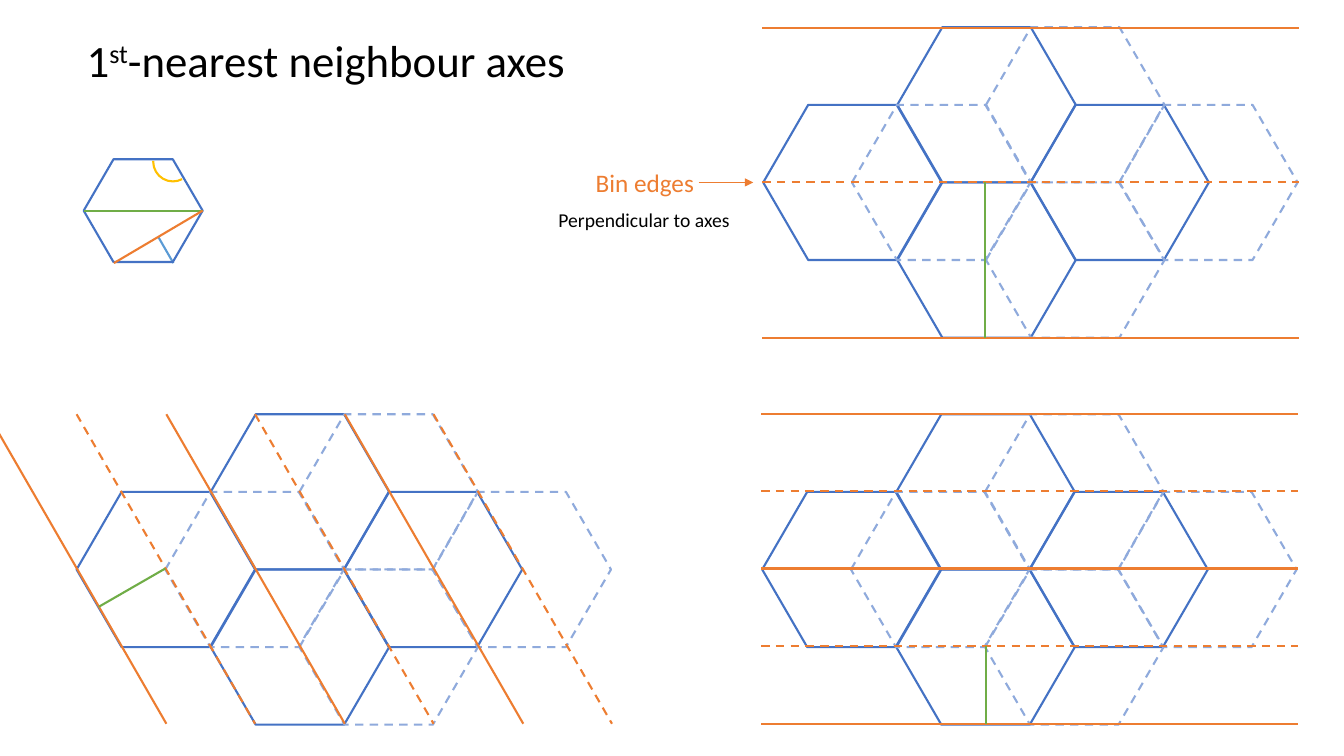
from lxml import etree
from pptx import Presentation
from pptx.dml.color import RGBColor
from pptx.enum.dml import MSO_LINE
from pptx.enum.shapes import MSO_CONNECTOR, MSO_SHAPE
from pptx.enum.text import MSO_ANCHOR, MSO_AUTO_SIZE, PP_ALIGN
from pptx.oxml.ns import qn
from pptx.util import Pt

PX = 9144  # 100 px to the inch
STRAIGHT = MSO_CONNECTOR.STRAIGHT
HEXAGON, ARC = MSO_SHAPE.HEXAGON, MSO_SHAPE.ARC
DASH = MSO_LINE.DASH

BLACK = RGBColor(0x00, 0x00, 0x00)
BLUE = RGBColor(0x44, 0x72, 0xC4)
PALE_BLUE = RGBColor(0x8F, 0xAA, 0xDC)
SKY = RGBColor(0x5B, 0x9B, 0xD5)
GREEN = RGBColor(0x70, 0xAD, 0x47)
ORANGE = RGBColor(0xED, 0x7D, 0x31)
YELLOW = RGBColor(0xFF, 0xC0, 0x00)

HEX_W, HEX_H = 177, 154
HEX_CELLS = [(133, 0), (133, 154), (0, 77), (265, 77)]
DASHED_SHIFT = 88


def add_line(shapes, ends, color, dashed=False, width=1.5):
    c = shapes.add_connector(STRAIGHT, *[v * PX for v in ends])
    c.line.color.rgb = color
    c.line.width = Pt(width)
    if dashed:
        c.line.dash_style = DASH
    etree.SubElement(c._element.spPr, qn("a:effectLst"))
    return c


def add_outline(shapes, kind, box, color, adjustments, dashed=False):
    """Add an unfilled preset shape with a coloured outline."""
    sp = shapes.add_shape(kind, *[v * PX for v in box])
    sp.shadow.inherit = False
    sp.fill.background()
    sp.line.color.rgb = color
    sp.line.width = Pt(1.5)
    if dashed:
        sp.line.dash_style = DASH
    for i, value in enumerate(adjustments):
        sp.adjustments[i] = value


prs = Presentation()
prs.slide_width, prs.slide_height = 1333 * PX, 750 * PX
s = prs.slides.add_slide(prs.slide_layouts[5])

# Title
title = s.shapes.title
title.left, title.top, title.width, title.height = [v * PX for v in (76, 27, 502, 64)]
tf = title.text_frame
tf.word_wrap = False
tf.auto_size = MSO_AUTO_SIZE.SHAPE_TO_FIT_TEXT
tf.vertical_anchor = MSO_ANCHOR.TOP
p = tf.paragraphs[0]
p.alignment = PP_ALIGN.LEFT
for text, baseline in [("1", 0), ("st", 30000), ("-nearest neighbour axes", 0)]:
    r = p.add_run()
    r.text = text
    r.font.name, r.font.size = "Calibri", Pt(32)
    r.font.color.rgb = BLACK
    if baseline:
        r._r.get_or_add_rPr().set("baseline", str(baseline))

# Single cell with its measures
cell = s.shapes.add_group_shape().shapes
add_line(cell, (172, 261, 157, 235), SKY)
add_outline(cell, HEXAGON, (83, 158, 118, 102), BLUE, [0.29])
add_line(cell, (83, 209, 201, 209), GREEN)
add_line(cell, (113, 261, 201, 209), ORANGE)
add_outline(cell, ARC, (152, 141, 39, 39), YELLOW, [37.325, 109.357])

# Hexagon clusters: origin, bin edges (every second one dashed), bin width
level_edges = [(755, 411 + 307 * i // 4, 1287, 411 + 307 * i // 4) for i in range(5)]
slanted_edges = [(177 * i // 2 - 12, 411, 177 * i // 2 + 165, 718) for i in range(6)]
wide_edges = [(756, 28 + 307 * i // 2, 1288, 28 + 307 * i // 2) for i in range(3)]
clusters = [
    ((756, 411), level_edges, (978, 641, 978, 718)),
    ((76, 411), slanted_edges, (98, 602, 164, 564)),
    ((757, 27), wide_edges, (977, 181, 977, 335)),
]
for (left, top), edges, bin_width in clusters:
    cluster = s.shapes.add_group_shape().shapes
    for color, shift in [(BLUE, 0), (PALE_BLUE, DASHED_SHIFT)]:
        for dx, dy in HEX_CELLS:
            box = (left + dx + shift, top + dy, HEX_W, HEX_H)
            add_outline(cluster, HEXAGON, box, color, [0.29], dashed=shift > 0)
    for i, edge in enumerate(edges):
        add_line(cluster, edge, ORANGE, dashed=i % 2 == 1)
    add_line(cluster, bin_width, GREEN)

# Bin edge label
label = s.shapes.add_group_shape().shapes
arrow = add_line(label, (693, 181, 747, 181), ORANGE, width=1)
etree.SubElement(arrow.line._get_or_add_ln(), qn("a:tailEnd"), type="triangle")
for text, box, size, color in [
    ("Bin edges", (581, 161, 119, 40), 18, ORANGE),
    ("Perpendicular to axes", (544, 201, 192, 34), 14, BLACK),
]:
    tf = label.add_textbox(*[v * PX for v in box]).text_frame
    tf.word_wrap = False
    tf.auto_size = MSO_AUTO_SIZE.SHAPE_TO_FIT_TEXT
    r = tf.paragraphs[0].add_run()
    r.text = text
    r.font.name, r.font.size = "Calibri", Pt(size)
    r.font.color.rgb = color

prs.save("out.pptx")
